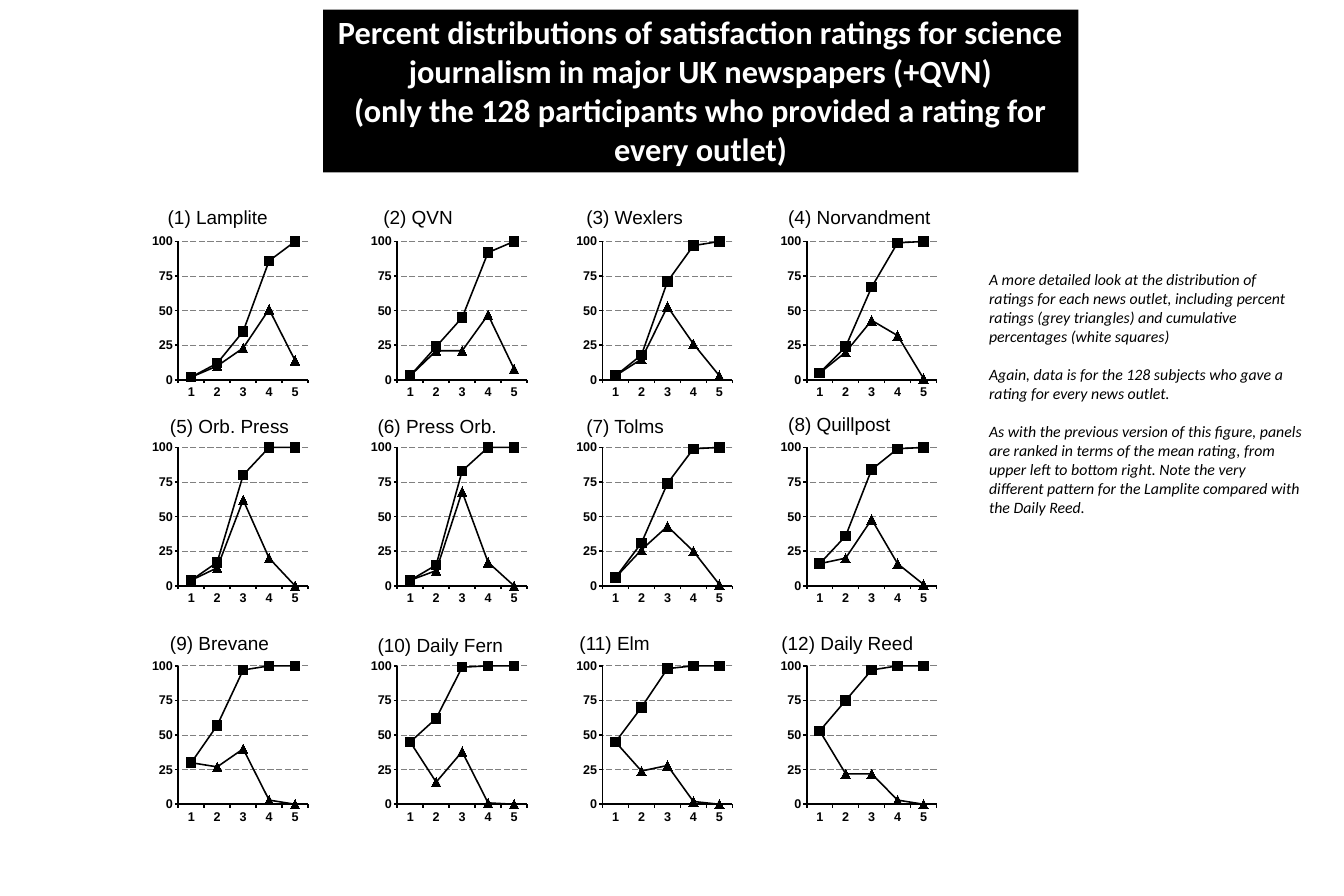
"""Builds a slide with twelve line charts of satisfaction ratings by news outlet."""
import pptx
import pptx.chart.data
import pptx.dml.color
import pptx.enum.chart
import pptx.enum.dml
import pptx.enum.shapes
import pptx.enum.text
import pptx.oxml
import pptx.oxml.ns
import pptx.util

PX = 9144
COLORS = {"black": "000000", "white": "FFFFFF", "grey": "808080"}
CHART_LEFTS = [229, 614, 975, 1334]
CHART_TOPS = [412, 774, 1158]
CHART_WIDTH, CHART_HEIGHT = 314, 312
TITLE = [
    "Percent distributions of satisfaction ratings for science journalism in major UK newspapers (+QVN)",
    "(only the 128 participants who provided a rating for every outlet)",
]
NOTES = [
    "A more detailed look at the distribution of ratings for each news outlet, including percent ratings "
    "(grey triangles) and cumulative percentages (white squares)",
    "Again, data is for the 128 subjects who gave a rating for every news outlet.",
    "As with the previous version of this figure, panels are ranked in terms of the mean rating, from upper "
    "left to bottom right. Note the very different pattern for the Lamplite compared with the Daily Reed.",
]
PANELS = [
    ("Lamplite", 285, 357, 242, [2, 12, 35, 86, 100], [2, 10, 23, 51, 14]),
    ("QVN", 664, 357, 242, [3, 24, 45, 92, 100], [3, 21, 21, 47, 8]),
    ("Wexlers", 1021, 357, 242, [3, 18, 71, 97, 100], [3, 15, 53, 26, 3]),
    ("Norvandment", 1376, 357, 273, [5, 24, 67, 99, 100], [5, 20, 43, 32, 1]),
    ("Orb. Press", 289, 723, 242, [4, 17, 80, 100, 100], [4, 13, 62, 20, 0]),
    ("Press Orb.", 654, 723, 242, [4, 15, 83, 100, 100], [4, 11, 68, 17, 0]),
    ("Tolms", 1021, 723, 242, [6, 31, 74, 99, 100], [6, 26, 43, 25, 1]),
    ("Quillpost", 1376, 721, 242, [16, 36, 84, 99, 100], [16, 20, 48, 16, 1]),
    ("Brevane", 289, 1105, 242, [30, 57, 97, 100, 100], [30, 27, 40, 3, 0]),
    ("Daily Fern", 654, 1108, 242, [45, 62, 99, 100, 100], [45, 16, 38, 1, 0]),
    ("Elm", 1009, 1105, 242, [45, 70, 98, 100, 100], [45, 24, 28, 2, 0]),
    ("Daily Reed", 1364, 1105, 273, [53, 75, 97, 100, 100], [53, 22, 22, 3, 0]),
]
MARKERS = [
    (pptx.enum.chart.XL_MARKER_STYLE.SQUARE, "white"),
    (pptx.enum.chart.XL_MARKER_STYLE.TRIANGLE, "grey"),
]
PLOT_LAYOUT = (
    f'<c:layout {pptx.oxml.ns.nsdecls("c")}><c:manualLayout><c:layoutTarget val="inner"/>'
    '<c:xMode val="edge"/><c:yMode val="edge"/><c:x val="0.27"/><c:y val="0.04"/>'
    '<c:w val="0.73"/><c:h val="0.78"/></c:manualLayout></c:layout>'
)


def rgb(name):
    return pptx.dml.color.RGBColor.from_string(COLORS[name])


def write(shape, lines, font_name, size, color, bold=False, italic=False):
    text_frame = shape.text_frame
    text_frame.word_wrap = True
    text_frame.text = "\n".join(lines)
    for paragraph in text_frame.paragraphs:
        for run in paragraph.runs:
            run.font.name = font_name
            run.font.size = pptx.util.Pt(size)
            run.font.bold = bold
            run.font.italic = italic
            run.font.color.rgb = rgb(color)


presentation = pptx.Presentation()
presentation.slide_width = 2363 * PX
presentation.slide_height = 1575 * PX
slide = presentation.slides.add_slide(presentation.slide_layouts[6])

for index, (outlet, left, top, width, cumulative, percent) in enumerate(PANELS):
    label = slide.shapes.add_textbox(left * PX, top * PX, width * PX, 50 * PX)
    write(label, [f"({index + 1}) {outlet}"], "Arial", 24, "black")

    row, column = divmod(index, len(CHART_LEFTS))
    chart_data = pptx.chart.data.CategoryChartData()
    chart_data.categories = ["1", "2", "3", "4", "5"]
    chart_data.add_series("Series 1", cumulative)
    chart_data.add_series("Series 2", percent)
    chart = slide.shapes.add_chart(
        pptx.enum.chart.XL_CHART_TYPE.LINE_MARKERS,
        CHART_LEFTS[column] * PX, CHART_TOPS[row] * PX,
        CHART_WIDTH * PX, CHART_HEIGHT * PX, chart_data,
    ).chart
    chart.has_legend = False
    chart.has_title = False
    chart.font.name = "Calibri"
    chart.font.size = pptx.util.Pt(10)
    chart.font.color.rgb = rgb("black")
    chart.plots[0].vary_by_categories = False

    plot_area = chart.plots[0]._element.getparent()
    for layout in plot_area.findall(pptx.oxml.ns.qn("c:layout")):
        plot_area.remove(layout)
    plot_area.insert(0, pptx.oxml.parse_xml(PLOT_LAYOUT))

    for axis in (chart.category_axis, chart.value_axis):
        axis.major_tick_mark = pptx.enum.chart.XL_TICK_MARK.OUTSIDE
        axis.minor_tick_mark = pptx.enum.chart.XL_TICK_MARK.NONE
        axis.format.line.color.rgb = rgb("black")
        axis.format.line.width = pptx.util.Pt(2)
        axis.tick_labels.font.name = "Arial"
        axis.tick_labels.font.size = pptx.util.Pt(16)
        axis.tick_labels.font.bold = True
        axis.tick_labels.font.color.rgb = rgb("black")
    chart.value_axis.minimum_scale = 0
    chart.value_axis.maximum_scale = 100
    chart.value_axis.major_unit = 25
    gridline = chart.value_axis.major_gridlines.format.line
    gridline.color.rgb = rgb("grey")
    gridline.width = pptx.util.Pt(1)
    gridline.dash_style = pptx.enum.dml.MSO_LINE.LONG_DASH

    for series, (marker_style, marker_fill) in zip(chart.plots[0].series, MARKERS):
        series.smooth = False
        series.format.line.color.rgb = rgb("black")
        series.format.line.width = pptx.util.Pt(2)
        series.marker.style = marker_style
        series.marker.size = 12
        series.marker.format.fill.solid()
        series.marker.format.fill.fore_color.rgb = rgb(marker_fill)
        series.marker.format.line.color.rgb = rgb("black")

title = slide.shapes.add_shape(
    pptx.enum.shapes.MSO_SHAPE.RECTANGLE, 568 * PX, 17 * PX, 1328 * PX, 286 * PX
)
title.shadow.inherit = False
title.fill.solid()
title.fill.fore_color.rgb = rgb("black")
title.line.fill.background()
write(title, TITLE, "Calibri", 41, "white", bold=True)
title.text_frame.vertical_anchor = pptx.enum.text.MSO_ANCHOR.TOP
for paragraph in title.text_frame.paragraphs:
    paragraph.alignment = pptx.enum.text.PP_ALIGN.CENTER

notes = slide.shapes.add_textbox(1729 * PX, 470 * PX, 571 * PX, 473 * PX)
write(notes, NOTES, "Calibri", 20, "black", italic=True)
for paragraph in notes.text_frame.paragraphs[1:]:
    paragraph.space_before = pptx.util.Pt(24)

presentation.save("out.pptx")
